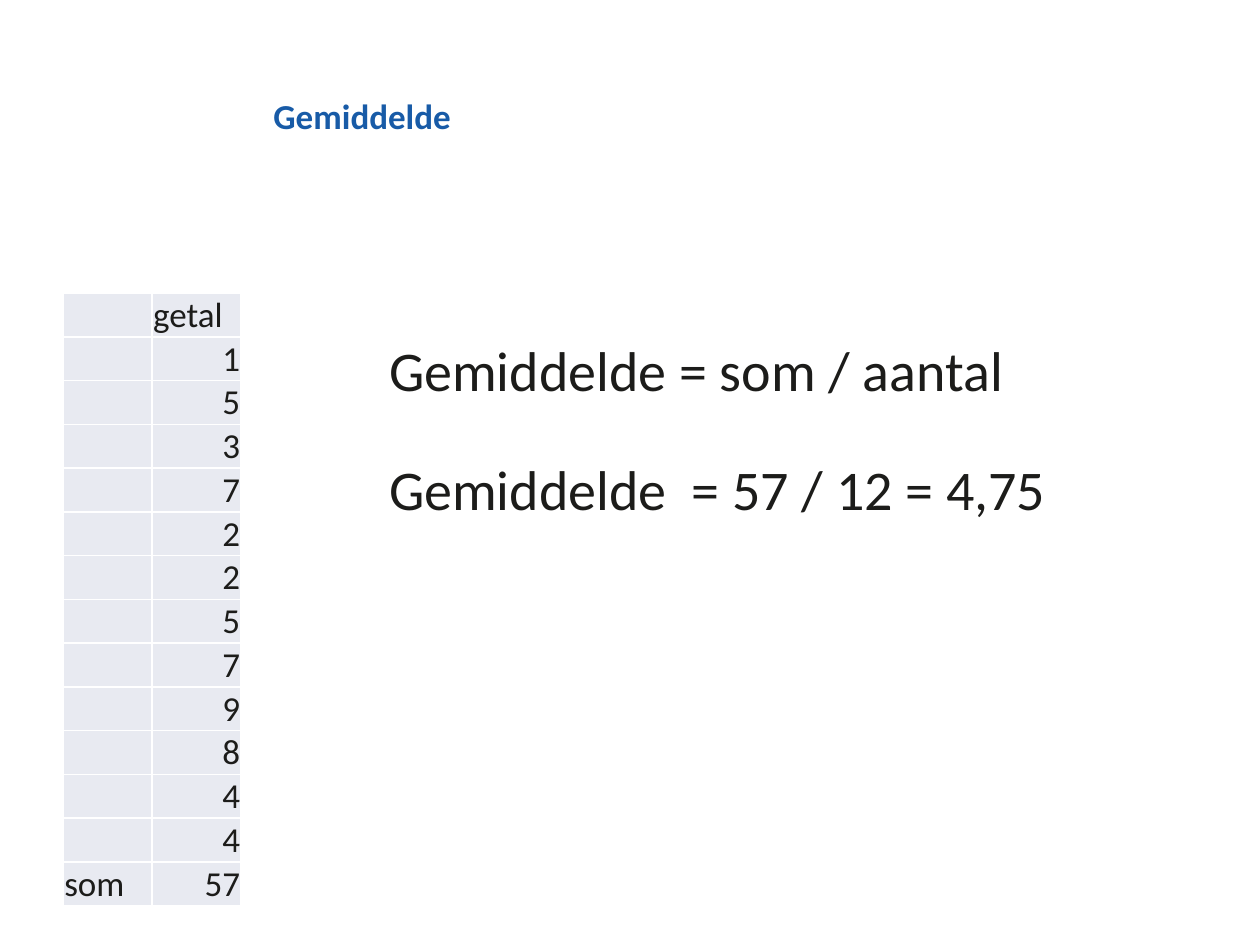
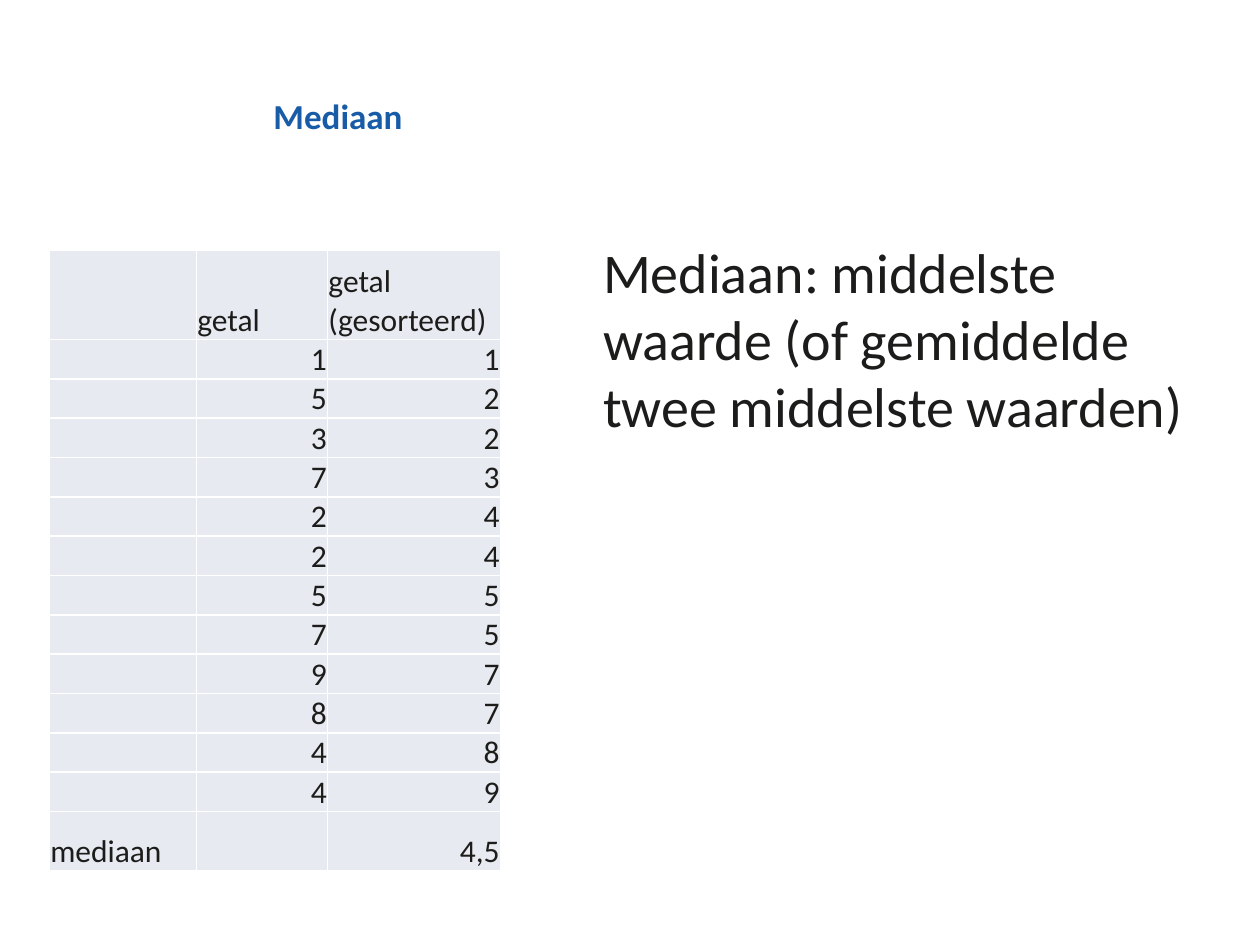
from lxml import etree
from pptx import Presentation
from pptx.dml.color import RGBColor
from pptx.enum.text import MSO_ANCHOR, MSO_AUTO_SIZE, PP_ALIGN
from pptx.oxml.ns import qn
from pptx.util import Pt

LEFT, RIGHT = PP_ALIGN.LEFT, PP_ALIGN.RIGHT
MIDDLE, BOTTOM = MSO_ANCHOR.MIDDLE, MSO_ANCHOR.BOTTOM
FIT_SHAPE, NO_FIT = MSO_AUTO_SIZE.SHAPE_TO_FIT_TEXT, MSO_AUTO_SIZE.NONE

BLUE = RGBColor(0x18, 0x5B, 0xA7)
INK = RGBColor(0x1C, 0x1C, 0x1A)
PALE = RGBColor(0xE8, 0xEA, 0xF1)
WHITE = RGBColor(0xFF, 0xFF, 0xFF)

TITLE_BOX = (156.25, 54, 507, 27)
TITLE_FRAME = dict(vertical_anchor=MIDDLE, word_wrap=True, auto_size=NO_FIT,
                   margin_left=0, margin_right=0, margin_top=0, margin_bottom=0)
TEXT_FRAME = dict(word_wrap=True, auto_size=FIT_SHAPE)
CELL = dict(vertical_anchor=BOTTOM, margin_left=Pt(0.5), margin_right=Pt(0.5),
            margin_top=Pt(0.5), margin_bottom=0)

NUMBERS = [1, 5, 3, 7, 2, 2, 5, 7, 9, 8, 4, 4]


def apply(obj, values):
    """Set each named attribute of an object."""
    for name, value in values.items():
        setattr(obj, name, value)


def write(p, text, size, color=INK, bold=False, align=LEFT):
    """Write one formatted run into a paragraph."""
    p.alignment = align
    r = p.add_run()
    r.text = text
    apply(r.font, dict(name="Calibri", size=Pt(size), bold=bold))
    r.font.color.rgb = color


def add_titled_slide(prs, title):
    """Add a slide with the shared title style."""
    slide = prs.slides.add_slide(prs.slide_layouts[5])
    sp = slide.shapes.title
    apply(sp, dict(zip(("left", "top", "width", "height"), map(Pt, TITLE_BOX))))
    tf = sp.text_frame
    apply(tf, TITLE_FRAME)
    p = tf.paragraphs[0]
    p.line_spacing = 0.9
    write(p, title, 20, BLUE, bold=True)
    return slide


def add_text(slide, text, *box):
    """Add a wrapped text box in the large body size."""
    tf = slide.shapes.add_textbox(*map(Pt, box)).text_frame
    apply(tf, TEXT_FRAME)
    write(tf.paragraphs[0], text, 32)


def add_borders(cell):
    """Draw white one-point lines around a cell."""
    tc_pr = cell._tc.get_or_add_tcPr()
    for side in ("a:lnL", "a:lnR", "a:lnT", "a:lnB"):
        ln = etree.SubElement(tc_pr, qn(side), w=str(Pt(1)))
        fill = etree.SubElement(ln, qn("a:solidFill"))
        etree.SubElement(fill, qn("a:srgbClr"), val=str(WHITE))


def add_number_table(slide, left, top, widths, heights, rows, size):
    """Add a pale table with labels on the left and numbers on the right."""
    frame = slide.shapes.add_table(len(rows), len(widths), Pt(left), Pt(top),
                                   Pt(sum(widths)), Pt(sum(heights)))
    table = frame.table
    apply(table, dict(first_row=False, horz_banding=False))
    for column, width in zip(table.columns, widths):
        column.width = Pt(width)
    for row, height, values in zip(table.rows, heights, rows):
        row.height = Pt(height)
        for cell, value in zip(row.cells, values):
            apply(cell, CELL)
            add_borders(cell)
            cell.fill.solid()
            cell.fill.fore_color.rgb = PALE
            text = str(value).replace(".", ",")
            if text:
                align = LEFT if isinstance(value, str) else RIGHT
                write(cell.text_frame.paragraphs[0], text, size, align=align)


def build_mean(prs):
    """Build the slide on the mean."""
    slide = add_titled_slide(prs, "Gemiddelde")
    rows = [("", "getal"), *(("", n) for n in NUMBERS), ("som", sum(NUMBERS))]
    add_number_table(slide, 36.25, 167.5, [50.75] * 2, [25] * len(rows), rows, 20)
    add_text(slide, "Gemiddelde = som / aantal", 215.25, 188, 415.5, 46)
    add_text(slide, "Gemiddelde  = 57 / 12 = 4,75", 215.25, 256, 421, 46)


def build_median(prs):
    """Build the slide on the median."""
    slide = add_titled_slide(prs, "Mediaan")
    ordered = sorted(NUMBERS)
    middle = len(ordered) // 2
    median = sum(ordered[middle - 1:middle + 1]) / 2
    rows = [("", "getal", "getal (gesorteerd)"),
            *(("", n, m) for n, m in zip(NUMBERS, ordered)),
            ("mediaan", "", median)]
    heights = [51, *[22.5] * len(NUMBERS), 34]
    add_number_table(slide, 28.25, 143, [84, 75, 98.75], heights, rows, 18)
    add_text(slide, "Mediaan: middelste waarde (of gemiddelde twee middelste waarden)",
             337.5, 132, 350.5, 124)


def main():
    """Build and save the presentation."""
    prs = Presentation()
    apply(prs, dict(slide_width=Pt(720), slide_height=Pt(540)))
    build_mean(prs)
    build_median(prs)
    prs.save("out.pptx")


if __name__ == "__main__":
    main()
